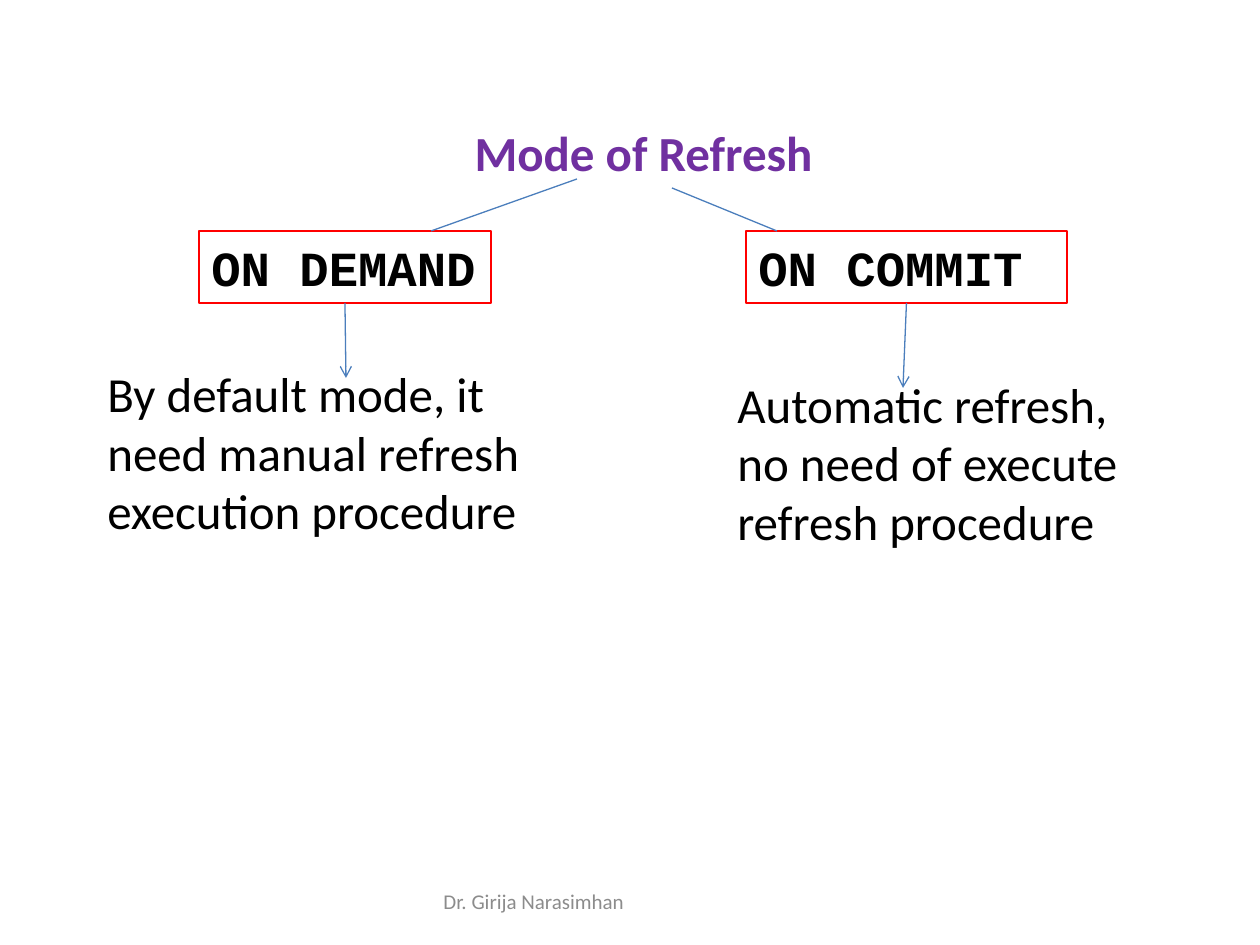
from dataclasses import dataclass

from lxml import etree
from pptx import Presentation
from pptx.dml.color import RGBColor
from pptx.enum import shapes, text
from pptx.oxml.ns import qn
from pptx.slide import Slide
from pptx.util import Emu, Pt

EMU_PER_PX = 914400 / 126


def px(length):
    return Emu(round(length * EMU_PER_PX))


def color(value):
    return RGBColor.from_string(value)


@dataclass
class Diagram:
    """Draws the parts of a small tree diagram in one style."""

    slide: Slide
    body_font: str = "Calibri"
    code_font: str = "Courier New"
    ink: str = "000000"
    accent: str = "7030A0"
    muted: str = "8C8C8C"
    border: str = "FF0000"
    link: str = "4B7EBC"
    size: int = 28

    def set_words(self, shape, words, font, hue, size, bold=False, wrap=True,
                  anchor=text.MSO_ANCHOR.TOP):
        frame = shape.text_frame
        frame.text = words
        frame.word_wrap = wrap
        frame.auto_size = text.MSO_AUTO_SIZE.NONE
        frame.vertical_anchor = anchor
        paragraph = frame.paragraphs[0]
        paragraph.alignment = text.PP_ALIGN.LEFT
        paragraph.font.name = font
        paragraph.font.size = Pt(size)
        paragraph.font.bold = bold
        paragraph.font.color.rgb = color(hue)

    def title(self, words, left, top, width, height):
        heading = self.slide.shapes.title
        heading.left, heading.top = px(left), px(top)
        heading.width, heading.height = px(width), px(height)
        self.set_words(heading, words, self.body_font, self.accent, self.size, bold=True)

    def mode(self, words, left, top, width, height):
        box = self.slide.shapes.add_shape(
            shapes.MSO_SHAPE.RECTANGLE, px(left), px(top), px(width), px(height))
        box.shadow.inherit = False
        box.fill.background()
        box.line.color.rgb = color(self.border)
        box.line.width = Pt(0.75)
        self.set_words(box, words, self.code_font, self.ink, self.size, bold=True, wrap=False)
        return box

    def description(self, words, left, top, width, height):
        note = self.slide.shapes.add_textbox(px(left), px(top), px(width), px(height))
        self.set_words(note, words, self.body_font, self.ink, self.size)

    def footer(self, words, left, top, width, height):
        credit = self.slide.shapes.add_textbox(px(left), px(top), px(width), px(height))
        self.set_words(credit, words, self.body_font, self.muted, 12,
                       anchor=text.MSO_ANCHOR.MIDDLE)

    def line(self, start, end):
        connector = self.slide.shapes.add_connector(
            shapes.MSO_CONNECTOR.STRAIGHT, *map(px, start + end))
        connector.line.color.rgb = color(self.link)
        connector.line.width = Pt(0.75)
        etree.SubElement(connector._element.spPr, qn("a:effectLst"))
        return connector

    def arrow_below(self, box, tip):
        connector = self.line(tip, tip)
        connector.begin_connect(box, 2)
        outline = connector._element.spPr.find(qn("a:ln"))
        etree.SubElement(outline, qn("a:tailEnd"), type="arrow")


def main():
    deck = Presentation()
    deck.slide_width, deck.slide_height = px(1260), px(945)
    diagram = Diagram(deck.slides.add_slide(deck.slide_layouts[5]))

    diagram.title("Mode of Refresh", 462, 116, 420, 72)
    diagram.footer("Dr. Girija Narasimhan", 431, 876, 399, 50)

    demand = diagram.mode("ON DEMAND", 199, 231, 292, 72)
    commit = diagram.mode("ON COMMIT", 746, 231, 321, 72)
    diagram.description("By default mode, it need manual refresh execution procedure",
                        95, 357, 494, 190)
    diagram.description("Automatic refresh, no need of execute refresh procedure",
                        725, 368, 451, 190)

    diagram.arrow_below(demand, (346, 378))
    diagram.arrow_below(commit, (903, 388))
    diagram.line((431, 231), (577, 179))
    diagram.line((672, 188), (777, 231))

    deck.save("out.pptx")


if __name__ == "__main__":
    main()
